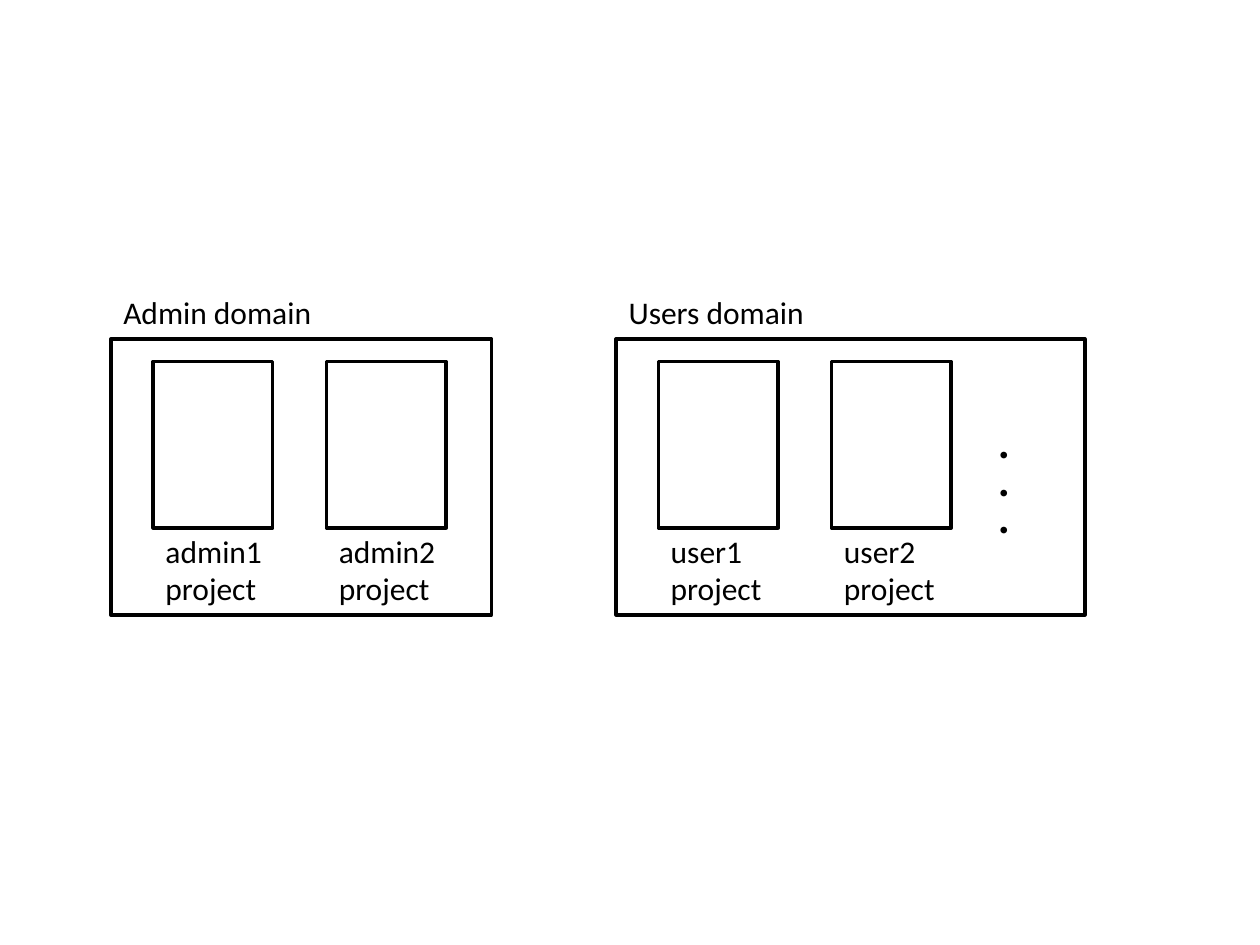
import pptx
import pptx.dml.color
import pptx.enum.shapes
import pptx.enum.text
import pptx.util

Inches = pptx.util.Inches


def color(value):
    return pptx.dml.color.RGBColor.from_string(value)


class DomainDiagram:
    """Draws domains and their projects on one slide in a shared style."""

    font_name = "Calibri"
    font_size = pptx.util.Pt(18)
    line_width = pptx.util.Pt(2)
    ink = "000000"
    paper = "FFFFFF"

    def __init__(self, slide):
        self.slide = slide

    def box(self, left, top, width, height):
        shape = self.slide.shapes.add_shape(
            pptx.enum.shapes.MSO_SHAPE.RECTANGLE,
            Inches(left), Inches(top), Inches(width), Inches(height))
        shape.shadow.inherit = False
        shape.fill.solid()
        shape.fill.fore_color.rgb = color(self.paper)
        shape.line.color.rgb = color(self.ink)
        shape.line.width = self.line_width

    def label(self, left, top, width, height, lines, wrap=False):
        shape = self.slide.shapes.add_textbox(
            Inches(left), Inches(top), Inches(width), Inches(height))
        frame = shape.text_frame
        frame.word_wrap = wrap
        frame.auto_size = pptx.enum.text.MSO_AUTO_SIZE.SHAPE_TO_FIT_TEXT
        for index, line in enumerate(lines):
            paragraph = frame.add_paragraph() if index else frame.paragraphs[0]
            run = paragraph.add_run()
            run.text = line
            run.font.name = self.font_name
            run.font.size = self.font_size
            run.font.color.rgb = color(self.ink)

    def domain(self, left, width, title, title_width, projects, label_width):
        self.box(left, 2.69, width, 2.19)
        self.label(left, 2.28, title_width, 0.4, [title])
        for index, project in enumerate(projects):
            project_left = left + 0.335 + index * 1.375
            self.box(project_left, 2.87, 0.95, 1.32)
            self.label(project_left, 4.17, label_width, 0.71, [project, "project"])


def main():
    presentation = pptx.Presentation()
    presentation.slide_width = Inches(10)
    presentation.slide_height = Inches(7.5)
    diagram = DomainDiagram(
        presentation.slides.add_slide(presentation.slide_layouts[6]))
    diagram.domain(0.88, 3.02, "Admin domain", 1.71, ["admin1", "admin2"], 0.98)
    diagram.domain(4.89, 3.72, "Users domain", 1.61, ["user1", "user2"], 0.93)
    diagram.label(7.75, 3.41, 0.58, 0.4, ["・・・"], wrap=True)
    presentation.save("out.pptx")


if __name__ == "__main__":
    main()
